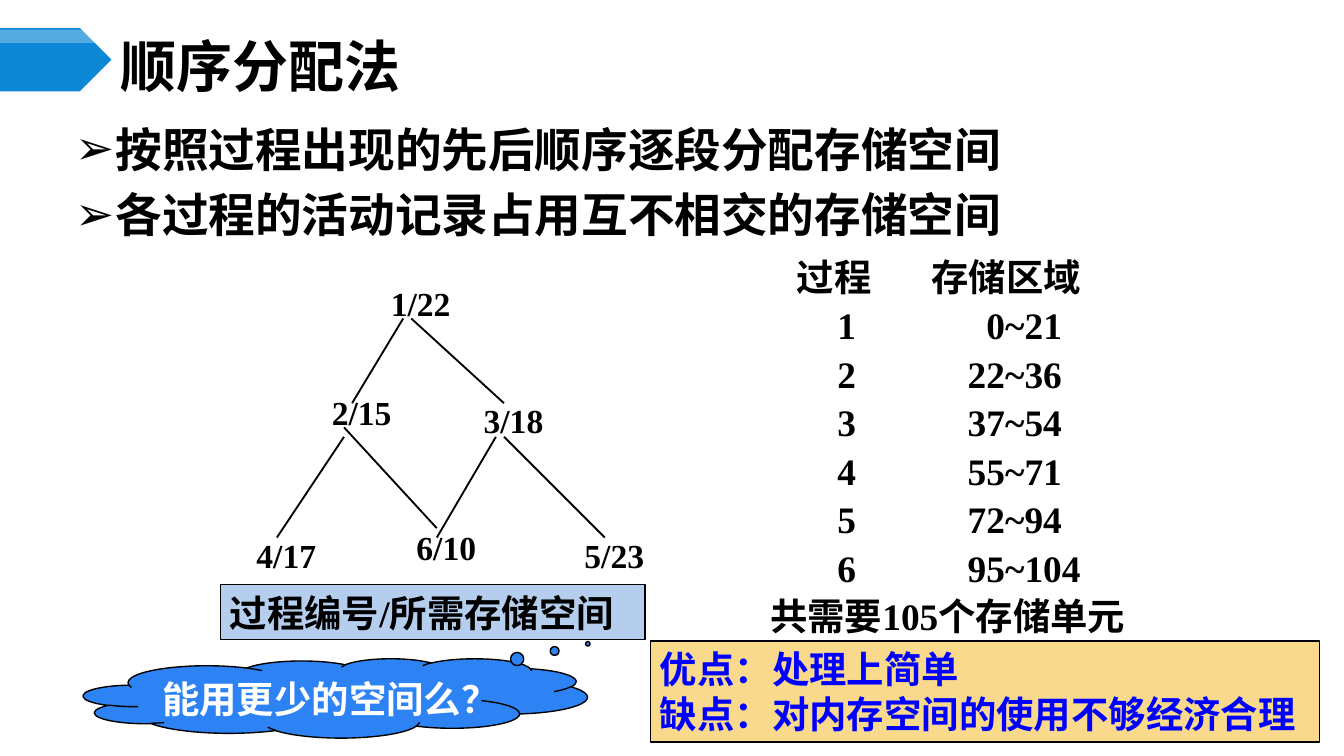
from lxml import etree
from pptx import Presentation
from pptx.dml.color import RGBColor
from pptx.enum.shapes import MSO_CONNECTOR, MSO_SHAPE
from pptx.enum.text import MSO_ANCHOR, MSO_AUTO_SIZE, PP_ALIGN
from pptx.oxml.ns import qn
from pptx.util import Inches, Pt

STRAIGHT = MSO_CONNECTOR.STRAIGHT
PENTAGON, RECTANGLE = MSO_SHAPE.PENTAGON, MSO_SHAPE.RECTANGLE
CLOUD = MSO_SHAPE.CLOUD_CALLOUT
LEFT, TOP, MIDDLE = PP_ALIGN.LEFT, MSO_ANCHOR.TOP, MSO_ANCHOR.MIDDLE
NO_AUTOFIT = MSO_AUTO_SIZE.NONE
SERIF, SANS = "Times New Roman", "Noto Sans CJK SC"
COLORS = {
    "black": "000000", "white": "FFFFFF", "arrow": "0B87D6", "legend": "B5CEED",
    "verdict": "F9D98C", "verdict text": "0000FF", "cloud": "2D83F4",
}


def write(shape, lines, size, color="black", font=SERIF, inset=(0.07, 0.04), anchor=TOP):
    """Fill the shape with bold left-aligned lines and return its paragraphs."""
    frame = shape.text_frame
    frame.word_wrap = True
    frame.auto_size = NO_AUTOFIT
    frame.vertical_anchor = anchor
    frame.margin_left = frame.margin_right = Inches(inset[0])
    frame.margin_top = frame.margin_bottom = Inches(inset[1])
    frame.text = "\n".join(lines)
    for paragraph in frame.paragraphs:
        paragraph.alignment = LEFT
        paragraph.font.name = font
        paragraph.font.size = Pt(size)
        paragraph.font.bold = True
        paragraph.font.color.rgb = RGBColor.from_string(COLORS[color])
    return frame.paragraphs


def add_filled(kind, box, fill, outlined=True):
    shape = slide.shapes.add_shape(kind, *map(Inches, box))
    shape.shadow.inherit = False
    shape.fill.solid()
    shape.fill.fore_color.rgb = RGBColor.from_string(COLORS[fill])
    if outlined:
        shape.line.color.rgb = RGBColor.from_string(COLORS["black"])
        shape.line.width = Pt(0.75)
    else:
        shape.line.fill.background()
    return shape


presentation = Presentation()
presentation.slide_width = Inches(10)
presentation.slide_height = Inches(10 * 9 / 16)
slide = presentation.slides.add_slide(presentation.slide_layouts[1])
title, body = slide.placeholders

# Title with its arrow marker
add_filled(PENTAGON, (0, 0.21, 0.83, 0.47), "arrow", outlined=False)
highlight = add_filled(PENTAGON, (0, 0.22, 0.83, 0.1), "white", outlined=False)
highlight_color = highlight.fill._xPr.find(qn("a:solidFill"))[0]
etree.SubElement(highlight_color, qn("a:alpha"), val="30000")

title.left, title.top, title.width, title.height = map(Inches, (0.83, 0.29, 8.67, 0.39))
write(title, ["顺序分配法"], 30, font=SANS, anchor=MIDDLE)

# Bulleted statements
body.left, body.top, body.width, body.height = map(Inches, (0.16, 0.86, 7.95, 0.7))
statements = ["按照过程出现的先后顺序逐段分配存储空间", "各过程的活动记录占用互不相交的存储空间"]
for index, paragraph in enumerate(write(body, statements, 25)):
    paragraph.line_spacing = 1.0
    paragraph.space_before = Pt(5 * index)
    properties = paragraph._p.get_or_add_pPr()
    properties.set("marL", str(Inches(0.63)))
    properties.set("indent", str(Inches(-0.3)))
    bullet = etree.Element(qn("a:buChar"), char="➢")
    properties.find(qn("a:defRPr")).addprevious(bullet)

# Call tree: process number / required storage
nodes = [
    ("1/22", 2.81, 2.06), ("2/15", 2.37, 2.87), ("3/18", 3.5, 2.93),
    ("4/17", 1.81, 3.93), ("6/10", 3, 3.87), ("5/23", 4.25, 3.93),
]
for label, left, top in nodes:
    node = slide.shapes.add_textbox(Inches(left), Inches(top), Inches(0.75), Inches(0.4))
    write(node, [label], 18, inset=(0.1, 0.05))

edges = [
    (3, 2.37, 2.62, 3), (3.06, 2.37, 3.75, 3), (2.56, 3.25, 2.06, 4),
    (2.56, 3.18, 3.25, 3.93), (3.69, 3.25, 3.25, 4), (3.75, 3.25, 4.5, 4),
]
for ends in edges:
    edge = slide.shapes.add_connector(STRAIGHT, *map(Inches, ends))
    edge.line.color.rgb = RGBColor.from_string(COLORS["black"])
    edge.line.width = Pt(1)
    etree.SubElement(edge._element.spPr, qn("a:effectLst"))

legend = add_filled(RECTANGLE, (1.64, 4.35, 3.16, 0.41), "legend")
write(legend, ["过程编号/所需存储空间"], 20)

# Storage areas, aligned with tab stops
ranges = ["0~21", "22~36", "37~54", "55~71", "72~94", "95~104"]
rows = ["\t过程\t存储区域"]
rows += [f"\t{number}\t{area}" for number, area in enumerate(ranges, 1)]
rows.append("共需要105个存储单元")
tab_stops = [(0.2, 1.2), (0.5, 1.61)] + [(0.5, 1.47)] * 5 + [()]
storage = slide.shapes.add_textbox(*map(Inches, (5.66, 1.82, 3.01, 2.96)))
for paragraph, stops in zip(write(storage, rows, 20), tab_stops):
    paragraph.line_spacing = Pt(26)
    if stops:
        tabs = etree.Element(qn("a:tabLst"))
        for stop in stops:
            etree.SubElement(tabs, qn("a:tab"), pos=str(Inches(stop)), algn="l")
        paragraph._p.pPr.find(qn("a:defRPr")).addprevious(tabs)

# Verdict and question
verdict = add_filled(RECTANGLE, (4.84, 4.77, 4.98, 0.75), "verdict")
write(verdict, ["优点：处理上简单", "缺点：对内存空间的使用不够经济合理"], 20, "verdict text")

question = add_filled(CLOUD, (0.62, 4.9, 3.75, 0.59), "cloud")
question.adjustments[0], question.adjustments[1] = 0.501, -0.686
write(question, ["能用更少的空间么？"], 20, "white")

presentation.save("out.pptx")
